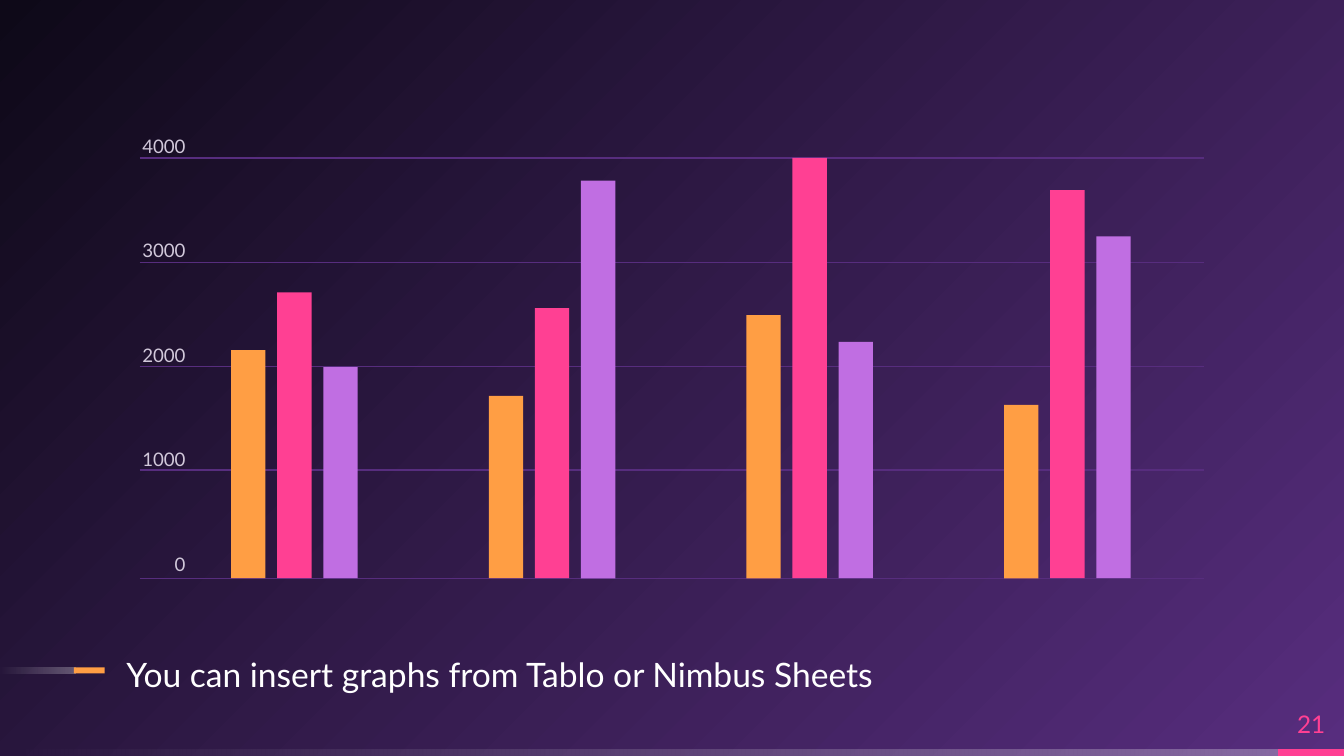
import pptx
import pptx.util
import pptx.dml.color
import pptx.enum.shapes
import pptx.enum.text
import pptx.oxml
import pptx.oxml.ns

RGB = pptx.dml.color.RGBColor
WHITE = RGB(0xFF, 0xFF, 0xFF)
NIGHT = RGB(0x0E, 0x09, 0x18)
PLUM = RGB(0x57, 0x2D, 0x7E)
ORANGE = RGB(0xFF, 0x9E, 0x44)
PINK = RGB(0xFF, 0x40, 0x93)
LILAC = RGB(0xC0, 0x6E, 0xE2)
GREY = RGB(0xD1, 0xC8, 0xDA)

WIDE = pptx.util.Inches(10)
HIGH = WIDE * 9 // 16
LEFT, RIGHT = 10.4, 89.6
ROWS = (20.9, 34.7, 48.5, 62.2, 76.5)
TOP, BASE = ROWS[0], ROWS[-1]
PEAK = 4000
GROUPS = (
    (2170, 2720, 2010),
    (1735, 2570, 3785),
    (2505, 4000, 2250),
    (1650, 3695, 3255),
)
ALIGN = pptx.enum.text.PP_ALIGN


def place(left, top, width, height):
    """Turn percent shares of the slide into lengths."""
    return (int(WIDE * left / 100), int(HIGH * top / 100),
            int(WIDE * width / 100), int(HIGH * height / 100))


def blend(fill, first, last):
    """Give a fill two gradient stops."""
    fill.gradient()
    for stop, color, spot in zip(fill.gradient_stops, (first, last), (0, 1)):
        stop.color.rgb = color
        stop.position = spot


def paint(slide):
    """Spread a round gradient from the lower right corner."""
    blend(slide.background.fill, PLUM, NIGHT)
    qn = pptx.oxml.ns.qn
    line = next(slide.element.iter(qn("a:lin")))
    glow = pptx.oxml.parse_xml(
        f'<a:path {pptx.oxml.ns.nsdecls("a")} path="circle">'
        '<a:fillToRect l="100000" t="100000"/></a:path>')
    line.getparent().replace(line, glow)


def block(slide, box, color=None):
    """Add a borderless rectangle."""
    kind = pptx.enum.shapes.MSO_SHAPE.RECTANGLE
    shape = slide.shapes.add_shape(kind, *place(*box))
    shape.shadow.inherit = False
    shape.line.fill.background()
    if color is not None:
        shape.fill.solid()
        shape.fill.fore_color.rgb = color
    return shape


def fade(slide, box):
    """Add a white strip that fades out to the left."""
    shape = block(slide, box)
    blend(shape.fill, WHITE, WHITE)
    shape.fill.gradient_angle = 180
    tones = shape.element.iter(pptx.oxml.ns.qn("a:srgbClr"))
    for tone, alpha in zip(list(tones), ("29000", "0")):
        pptx.oxml.parse_xml
        node = tone.makeelement(pptx.oxml.ns.qn("a:alpha"), {"val": alpha})
        tone.append(node)


def rule(slide, row):
    """Add one grid line across the chart."""
    left, top, width, _ = place(LEFT, row, RIGHT - LEFT, 0)
    kind = pptx.enum.shapes.MSO_CONNECTOR.STRAIGHT
    line = slide.shapes.add_connector(kind, left, top, left + width, top)
    line.line.color.rgb = PLUM
    line.line.width = pptx.util.Pt(0.75)
    node = line.element.spPr
    node.append(node.makeelement(pptx.oxml.ns.qn("a:effectLst"), {}))


def write(slide, box, lines, size, color, align=ALIGN.LEFT):
    """Add a text box without margins and return its frame."""
    frame = slide.shapes.add_textbox(*place(*box)).text_frame
    frame.word_wrap = True
    frame.margin_left = frame.margin_right = 0
    frame.margin_top = frame.margin_bottom = 0
    for index, line in enumerate(lines):
        para = frame.add_paragraph() if index else frame.paragraphs[0]
        para.alignment = align
        run = para.add_run()
        run.text = line
        run.font.name = "Lato"
        run.font.size = pptx.util.Pt(size)
        run.font.color.rgb = color
    return frame


def trim(slide):
    """Add the footer strip, the caption and the page number."""
    fade(slide, (0, 99.1, 95.4, 0.9))
    block(slide, (95.1, 99.1, 4.9, 0.9), PINK)
    fade(slide, (0, 88.3, 5.6, 0.8))
    block(slide, (5.5, 88.3, 2.3, 0.8), ORANGE)
    note = write(slide, (9.4, 85.7, 81.3, 6),
                 ["You can insert graphs from Tablo or Nimbus Sheets"], 18, WHITE)
    note.paragraphs[0].line_spacing = 1.15
    note.paragraphs[0].space_after = pptx.util.Pt(8)
    page = write(slide, (95.1, 92.3, 4.9, 6.8), ["21"], 13, PINK, ALIGN.CENTER)
    page.vertical_anchor = pptx.enum.text.MSO_ANCHOR.MIDDLE


def scale(slide):
    """Add the grid lines and their labels."""
    for row in ROWS:
        rule(slide, row)
    marks = [str(mark) for mark in range(PEAK, -1, -1000)]
    frame = write(slide, (LEFT, 17.8, 3.4, 58.8), marks, 10, GREY, ALIGN.RIGHT)
    for para in frame.paragraphs[1:]:
        para.space_before = pptx.util.Pt(44)


def bars(slide):
    """Add the bars, sized by value."""
    for group, values in enumerate(GROUPS):
        for index, (value, color) in enumerate(zip(values, (ORANGE, PINK, LILAC))):
            tall = (BASE - TOP) * value / PEAK
            left = 17.2 + 19.17 * group + 3.43 * index
            block(slide, (left, BASE - tall, 2.56, tall), color)


def main():
    """Build the slide and save it."""
    deck = pptx.Presentation()
    deck.slide_width, deck.slide_height = WIDE, HIGH
    slide = deck.slides.add_slide(deck.slide_layouts[6])
    paint(slide)
    trim(slide)
    scale(slide)
    bars(slide)
    deck.save("out.pptx")


if __name__ == "__main__":
    main()
